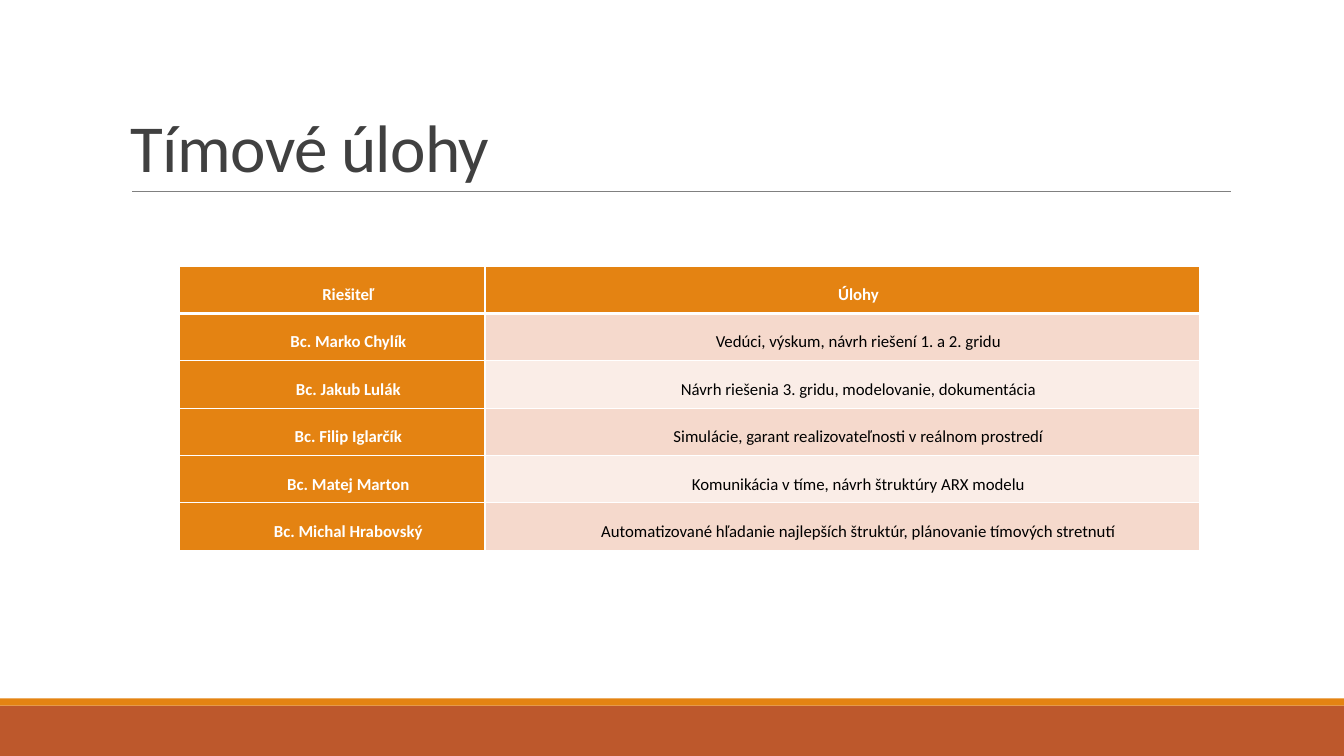
from dataclasses import dataclass

from lxml.etree import SubElement
from pptx import Presentation
from pptx.dml.color import RGBColor as Color
from pptx.enum.shapes import MSO_CONNECTOR as Connector, MSO_SHAPE as Shape
from pptx.enum.text import MSO_ANCHOR as Anchor, PP_ALIGN as Align
from pptx.oxml.ns import qn
from pptx.util import Inches, Pt


@dataclass(frozen=True)
class Theme:
    font: str = "Calibri"
    title_size: int = 48
    table_size: int = 12
    title: str = "404040"
    rule: str = "808080"
    orange: str = "E48312"
    rust: str = "BD582C"
    bands: tuple = ("F5D9CC", "FAEDE7")
    white: str = "FFFFFF"
    black: str = "000000"


theme = Theme()


def write(para, text, size, color, bold=False):
    span = para.add_run()
    span.text = text
    for name, value in dict(name=theme.font, size=Pt(size), bold=bold).items():
        setattr(span.font, name, value)
    span.font.color.rgb = Color.from_string(color)
    return span


def set_borders(cell, widths):
    """Draw white cell borders; widths maps the sides L, R, T, B to points."""
    properties = cell._tc.get_or_add_tcPr()
    for side, width in widths.items():
        line = SubElement(properties, qn(f"a:ln{side}"), w=str(Pt(width)))
        fill = SubElement(line, qn("a:solidFill"))
        SubElement(fill, qn("a:srgbClr"), val=theme.white)


deck = Presentation()
deck.slide_width, deck.slide_height = Inches(13.33), Inches(7.5)
page = deck.slides.add_slide(deck.slide_layouts[6])

# Footer bands
for top, height, color in ((7, 0.5, theme.rust), (6.93, 0.07, theme.orange)):
    band = page.shapes.add_shape(
        Shape.RECTANGLE, 0, Inches(top), deck.slide_width, Inches(height))
    band.shadow.inherit = False
    band.fill.solid()
    band.fill.fore_color.rgb = Color.from_string(color)
    band.line.fill.background()

# Title and the rule below it
rule = page.shapes.add_connector(
    Connector.STRAIGHT, Inches(1.31), Inches(1.9), Inches(12.21), Inches(1.9))
rule.line.color.rgb = Color.from_string(theme.rule)
rule.line.width = Pt(0.5)
SubElement(rule._element.spPr, qn("a:effectLst"))

box = page.shapes.add_textbox(Inches(1.2), Inches(0.31), Inches(11), Inches(1.59))
box.text_frame.word_wrap = True
box.text_frame.vertical_anchor = Anchor.BOTTOM
para = box.text_frame.paragraphs[0]
para.line_spacing = 0.85
title = write(para, "Tímové úlohy", theme.title_size, theme.title)
title.font._element.set("spc", "-50")

# Team table
rows = (
    ("Riešiteľ", "Úlohy"),
    ("Bc. Marko Chylík", "Vedúci, výskum, návrh riešení 1. a 2. gridu"),
    ("Bc. Jakub Lulák", "Návrh riešenia 3. gridu, modelovanie, dokumentácia"),
    ("Bc. Filip Iglarčík", "Simulácie, garant realizovateľnosti v reálnom prostredí"),
    ("Bc. Matej Marton", "Komunikácia v tíme, návrh štruktúry ARX modelu"),
    ("Bc. Michal Hrabovský",
     "Automatizované hľadanie najlepších štruktúr, plánovanie tímových stretnutí"),
)
widths = (3.03, 7.09)
row_height = 0.47
table = page.shapes.add_table(
    len(rows), len(widths), Inches(1.78), Inches(2.64),
    Inches(sum(widths)), Inches(row_height * len(rows))).table
table.first_row = table.horz_banding = False
for column, width in zip(table.columns, widths):
    column.width = Inches(width)

cell_format = dict(
    vertical_anchor=Anchor.MIDDLE, margin_left=Inches(0.07),
    margin_right=Inches(0.07), margin_top=0, margin_bottom=0)
for r, texts in enumerate(rows):
    table.rows[r].height = Inches(row_height)
    for c, text in enumerate(texts):
        cell = table.cell(r, c)
        heading = r == 0 or c == 0
        for name, value in cell_format.items():
            setattr(cell, name, value)
        set_borders(cell, dict(L=1, R=1, T=3 if r == 1 else 1, B=3 if r == 0 else 1))
        cell.fill.solid()
        cell.fill.fore_color.rgb = Color.from_string(
            theme.orange if heading else theme.bands[(r - 1) % 2])
        para = cell.text_frame.paragraphs[0]
        para.alignment = Align.CENTER
        para.line_spacing = 1.5
        para._p.get_or_add_pPr().set("indent", str(Inches(0.32)))
        write(para, text, theme.table_size,
              theme.white if heading else theme.black, heading)

deck.save("out.pptx")
